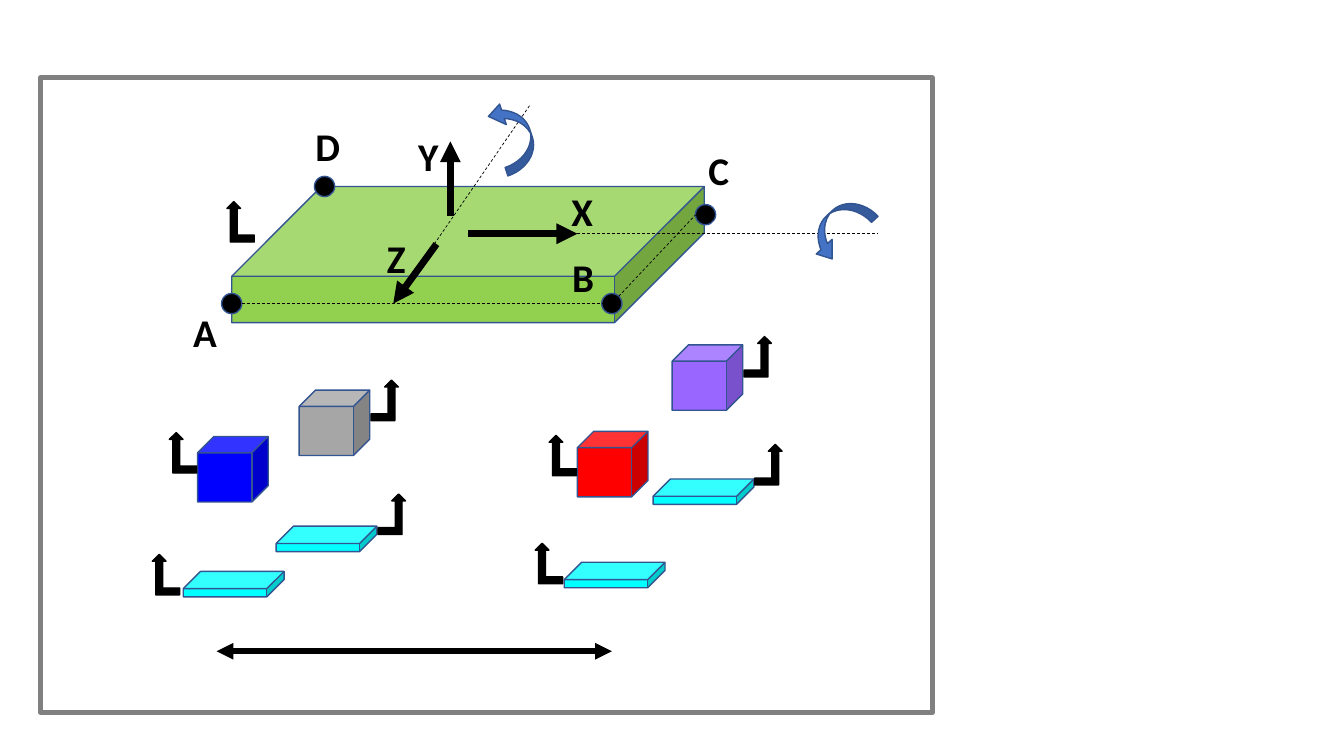
import pptx
import pptx.dml.color
import pptx.enum.dml
import pptx.enum.shapes
import pptx.enum.text
import pptx.oxml.ns
import pptx.util
from lxml import etree

Cm = pptx.util.Cm
Pt = pptx.util.Pt
Preset = pptx.enum.shapes.MSO_SHAPE
qn = pptx.oxml.ns.qn


def color(code):
    return pptx.dml.color.RGBColor.from_string(code)


class Diagram:
    font = "Calibri"
    ink = "000000"
    outline = "325491"
    dot_size = 0.51
    hook_size = (0.69, 1.02)

    def __init__(self, page):
        self.page = page

    def shape(self, preset, box, fill, line=outline, weight=1, adjust=()):
        shape = self.page.shapes.add_shape(preset, *map(Cm, box))
        shape.shadow.inherit = False
        if fill:
            shape.fill.solid()
            shape.fill.fore_color.rgb = color(fill)
        else:
            shape.fill.background()
        shape.line.color.rgb = color(line)
        shape.line.width = Pt(weight)
        for index, value in enumerate(adjust):
            shape.adjustments[index] = value
        return shape

    def dot(self, x, y):
        """Draw a corner dot centred on x, y."""
        half = self.dot_size / 2
        self.shape(Preset.OVAL, (x - half, y - half, self.dot_size, self.dot_size), self.ink)

    def hook(self, x, y, flipped):
        """Draw a bent arrow that points up."""
        arrow = self.shape(Preset.BENT_UP_ARROW, (x, y, *self.hook_size), self.ink, self.ink)
        if flipped:
            arrow._element.spPr.find(qn("a:xfrm")).set("flipH", "1")

    def turn(self, x, y, angle):
        """Draw a curved arrow that shows rotation about an axis."""
        arrow = self.shape(Preset.CURVED_UP_ARROW, (x, y, 1.85, 0.89), "4472C4",
                           adjust=(0.25, 0.61, 0.41))
        arrow.rotation = angle

    def line(self, start, end, weight, heads=(), dashed=False):
        """Draw a straight line; heads lists headEnd and/or tailEnd."""
        line = self.page.shapes.add_connector(
            pptx.enum.shapes.MSO_CONNECTOR.STRAIGHT, *map(Cm, (*start, *end)))
        line.line.color.rgb = color(self.ink)
        line.line.width = Pt(weight)
        if dashed:
            line.line.dash_style = pptx.enum.dml.MSO_LINE.DASH
        properties = line._element.spPr
        for head in heads:
            etree.SubElement(properties.find(qn("a:ln")), qn("a:" + head), type="triangle")
        etree.SubElement(properties, qn("a:effectLst"))

    def label(self, text, x, y, width):
        box = self.page.shapes.add_textbox(Cm(x), Cm(y), Cm(width), Cm(1.45))
        frame = box.text_frame
        frame.word_wrap = False
        frame.auto_size = pptx.enum.text.MSO_AUTO_SIZE.SHAPE_TO_FIT_TEXT
        para = frame.paragraphs[0]
        para.text = text
        para.font.name = self.font
        para.font.size = Pt(28)
        para.font.bold = True
        para.font.color.rgb = color(self.ink)


def main():
    deck = pptx.Presentation()
    deck.slide_width, deck.slide_height = Cm(33.87), Cm(19.05)
    diagram = Diagram(deck.slides.add_slide(deck.slide_layouts[6]))

    # Platform with its axes
    diagram.shape(Preset.CUBE, (5.84, 4.7, 11.91, 3.43), "92D050", adjust=(0.66,))
    for start, end in (
        ((11.79, 5.89), (14.55, 5.89)),
        ((11.35, 5.44), (11.35, 3.56)),
        ((11, 6.15), (9.91, 7.65)),
    ):
        diagram.line(start, end, 5, heads=("tailEnd",))

    # Corner points and guide lines
    corner_a, corner_b, corner_c, corner_d = (
        (5.84, 7.65), (15.42, 7.65), (17.78, 5.41), (8.18, 4.7))
    for corner in (corner_a, corner_b, corner_c, corner_d):
        diagram.dot(*corner)
    for start, end in (
        (corner_a, corner_b),
        (corner_b, (17.53, 5.41)),
        ((12.52, 5.89), (22.12, 5.89)),
        ((10.16, 7.29), (13.36, 2.64)),
    ):
        diagram.line(start, end, 0.5, dashed=True)

    for text, x, y, width in (
        ("X", 14.15, 4.6, 1.07),
        ("Y", 10.29, 3.2, 1.07),
        ("Z", 9.5, 5.77, 0.99),
        ("A", 4.62, 7.65, 1.12),
        ("B", 14.17, 6.27, 1.07),
        ("C", 17.6, 3.56, 1.07),
        ("D", 7.7, 2.95, 1.14),
    ):
        diagram.label(text, x, y, width)

    # Blocks and pads below the platform
    for x, y, fill in (
        (4.98, 11, "0000FF"),
        (14.55, 10.87, "FF0000"),
        (7.54, 9.83, "A6A6A6"),
        (16.94, 8.69, "9966FF"),
    ):
        diagram.shape(Preset.CUBE, (x, y, 1.78, 1.65), fill)
    for x, y in ((6.96, 13.26), (4.62, 14.4), (14.22, 14.17), (16.46, 12.07)):
        diagram.shape(Preset.CUBE, (x, y, 2.54, 0.64), "00FFFF", adjust=(0.68,))

    right_hooks = ((18.75, 8.48), (9.35, 9.58), (9.53, 12.45), (19.02, 11.2))
    left_hooks = ((4.27, 10.9), (13.84, 10.97), (5.72, 5.08), (3.84, 13.97), (13.49, 13.69))
    for hooks, flipped in ((right_hooks, False), (left_hooks, True)):
        for x, y in hooks:
            diagram.hook(x, y, flipped)

    diagram.turn(12.01, 2.97, 251.9)
    diagram.turn(20.22, 5.31, 137.1)
    diagram.shape(Preset.RECTANGLE, (1.02, 1.96, 22.48, 16), None, "808080", 3.25)
    diagram.line((5.46, 16.41), (15.42, 16.41), 4, heads=("headEnd", "tailEnd"))

    deck.save("out.pptx")


if __name__ == "__main__":
    main()
